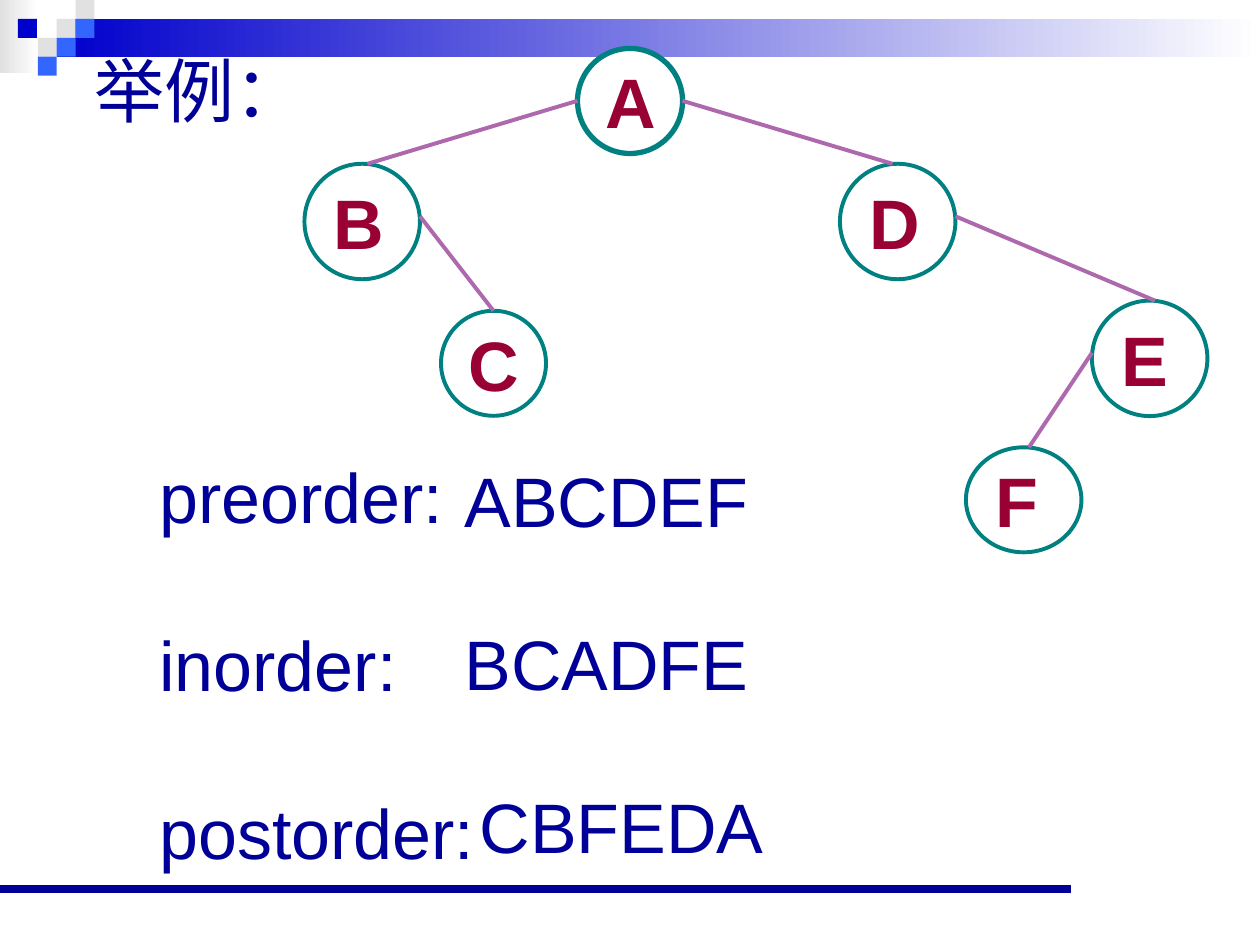
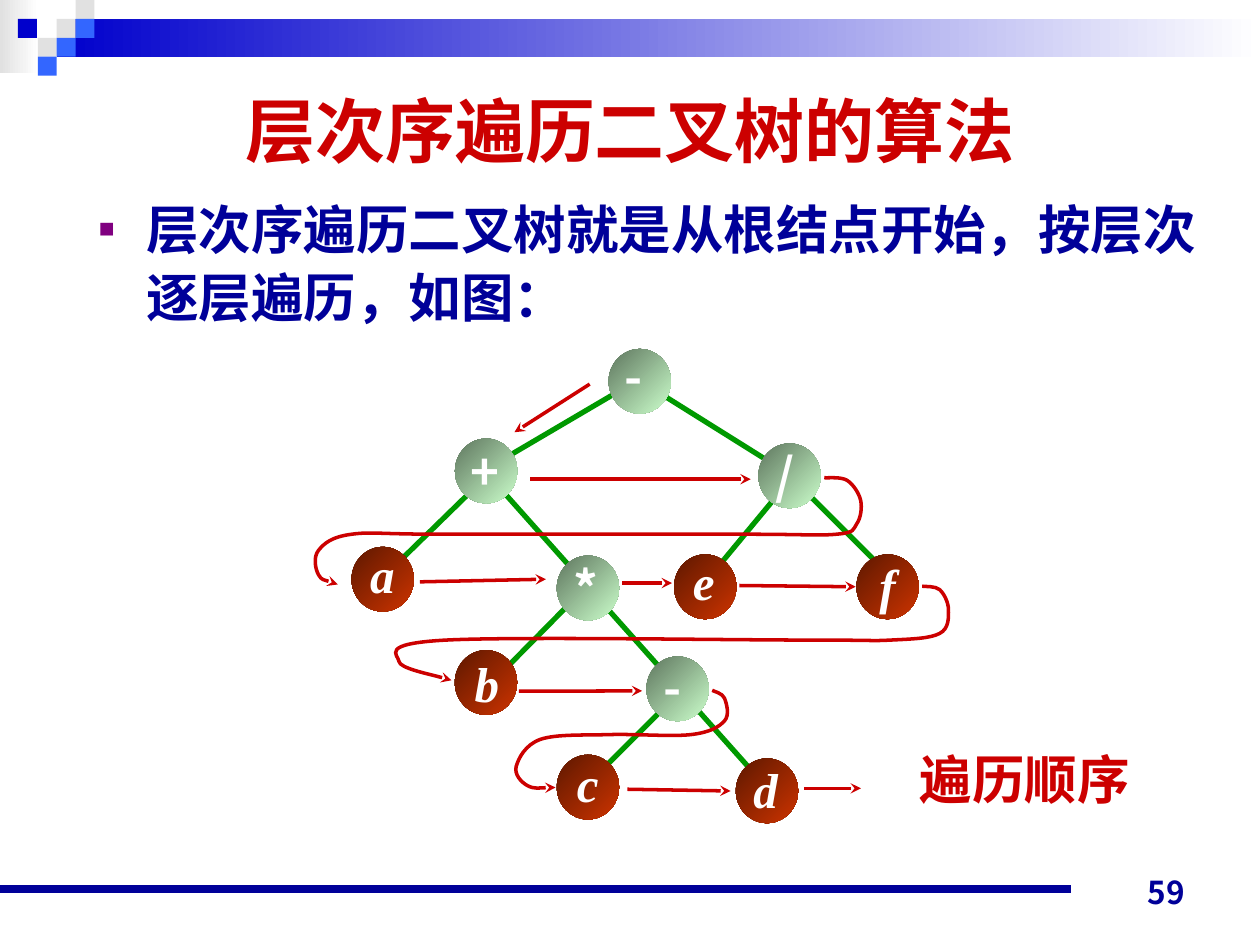
from lxml import etree
from pptx import Presentation
from pptx.dml.color import RGBColor
from pptx.enum import shapes, text
from pptx.oxml.ns import qn
from pptx.util import Pt

NAVY = RGBColor(0x00, 0x00, 0x99)
BLUE = RGBColor(0x00, 0x00, 0xCC)
SKY = RGBColor(0x33, 0x66, 0xFF)
GREY = RGBColor(0xE1, 0xE1, 0xE1)
WHITE = RGBColor(0xFF, 0xFF, 0xFF)
TEAL = RGBColor(0x00, 0x80, 0x80)
WINE = RGBColor(0x99, 0x00, 0x33)
MAUVE = RGBColor(0xAE, 0x68, 0xAE)
PURPLE = RGBColor(0x80, 0x00, 0x80)
RED = RGBColor(0xCC, 0x00, 0x00)
GREEN = RGBColor(0x00, 0x99, 0x00)
MOSS = (RGBColor(0x5E, 0x76, 0x5E), RGBColor(0xCC, 0xFF, 0xCC))
RUST = (RGBColor(0x5E, 0x18, 0x00), RGBColor(0xCC, 0x33, 0x00))

SANS, SERIF = "Arial", "Times New Roman"
HAN, DIGIT = "Noto Sans CJK SC", "Noto Sans CJK JP"
KIND, ALIGN, ANCHOR = shapes.MSO_SHAPE, text.PP_ALIGN, text.MSO_ANCHOR

CELL = 10.8
CELLS = [(3, 1, GREY), (4, 0, GREY), (4, 1, SKY), (2, 2, GREY),
         (0.95, 1, BLUE), (3, 2, SKY), (2, 3, SKY)]


class Deck:
    def __init__(self):
        self.prs = Presentation()
        self.prs.slide_width, self.prs.slide_height = Pt(720), Pt(540)
        self.blank = self.prs.slide_layouts[6]
        self.start()
        self.frame()

    def start(self):
        self.slide = self.prs.slides.add_slide(self.blank)

    def frame(self):
        """Draw the band, squares and bottom rule and move them to the layout."""
        self.shape(KIND.RECTANGLE, 0, 0, 22, 42, (GREY, WHITE))
        self.shape(KIND.RECTANGLE, 3 * CELL, CELL, 720 - 3 * CELL, 2 * CELL,
                   (BLUE, WHITE))
        for col, row, color in CELLS:
            self.shape(KIND.RECTANGLE, col * CELL, row * CELL, CELL, CELL, color)
        self.line((0, 508, 612, 508), NAVY, 4.5)
        for item in list(self.slide.shapes):
            self.blank.shapes._spTree.append(item._element)

    def shape(self, kind, x, y, w, h, fill, angle=0):
        """Add a shape; a pair of colours as fill makes a gradient."""
        item = self.slide.shapes.add_shape(kind, Pt(x), Pt(y), Pt(w), Pt(h))
        item.shadow.inherit = False
        item.line.fill.background()
        if isinstance(fill, RGBColor):
            item.fill.solid()
            item.fill.fore_color.rgb = fill
        else:
            item.fill.gradient()
            item.fill.gradient_angle = angle
            for stop, color in zip(item.fill.gradient_stops, fill):
                stop.color.rgb = color
        return item

    def stroke(self, item, color, width, arrow=False):
        item.line.color.rgb = color
        item.line.width = Pt(width)
        if arrow:
            line = item._element.spPr.find(qn("a:ln"))
            etree.SubElement(line, qn("a:tailEnd"), type="stealth")

    def line(self, ends, color, width, arrow=False):
        item = self.slide.shapes.add_connector(
            shapes.MSO_CONNECTOR.STRAIGHT, *map(Pt, ends))
        self.stroke(item, color, width, arrow)
        etree.SubElement(item._element.spPr, qn("a:effectLst"))

    def loop(self, knots, color, width):
        """Add an arrow that runs as a smooth curve through the knots."""
        pen = self.slide.shapes.build_freeform(*map(Pt, knots[0]))
        pen.add_line_segments([(Pt(x), Pt(y)) for x, y in knots[1:]], close=False)
        item = pen.convert_to_shape()
        item.shadow.inherit = False
        item.fill.background()
        self.stroke(item, color, width, True)
        self.bend(item)

    def bend(self, item):
        """Turn the straight segments of an outline into Bezier curves."""
        marks = [(int(p.get("x")), int(p.get("y")))
                 for p in item._element.iter(qn("a:pt"))]
        ends = [marks[0], *marks, marks[-1]]
        steps = list(item._element.iter(qn("a:lnTo")))
        for step, a, b, c, d in zip(steps, ends, ends[1:], ends[2:], ends[3:]):
            out = [q + (r - p) // 6 for p, q, r in zip(a, b, c)]
            back = [r - (s - q) // 6 for q, r, s in zip(b, c, d)]
            step.tag = qn("a:cubicBezTo")
            for i, (x, y) in enumerate((out, back)):
                step.insert(i, step.makeelement(qn("a:pt"), x=str(x), y=str(y)))

    def style(self, para, font, size, color, bold=False, italic=False):
        para.font.name, para.font.size = font, Pt(size)
        para.font.color.rgb = color
        para.font.bold, para.font.italic = bold, italic
        props = para._p.pPr.find(qn("a:defRPr"))
        etree.SubElement(props, qn("a:ea"),
                         typeface=font if font == DIGIT else HAN)

    def text(self, x, y, w, h, words, font, size, color, bold=False,
             italic=False, align=ALIGN.LEFT, anchor=ANCHOR.TOP, gap=0,
             bullet=None):
        """Add a text box, one paragraph for each line of words."""
        frame = self.slide.shapes.add_textbox(Pt(x), Pt(y), Pt(w), Pt(h)).text_frame
        frame.word_wrap, frame.vertical_anchor = True, anchor
        frame.text = words
        for i, para in enumerate(frame.paragraphs):
            para.alignment = align
            if i:
                para.space_before = Pt(gap)
            if bullet:
                para.line_spacing = Pt(size * 1.29)
                self.bullet(para, bullet)
            self.style(para, font, size, color, bold, italic)

    def bullet(self, para, color):
        props = para._p.get_or_add_pPr()
        props.set("marL", str(Pt(27)))
        props.set("indent", str(-Pt(27)))
        tint = etree.SubElement(props, qn("a:buClr"))
        etree.SubElement(tint, qn("a:srgbClr"), val=str(color))
        etree.SubElement(props, qn("a:buSzPct"), val="50000")
        etree.SubElement(props, qn("a:buFont"), typeface=SANS)
        etree.SubElement(props, qn("a:buChar"), char="■")

    def node(self, x, y, w, h, label, width):
        item = self.shape(KIND.OVAL, x, y, w, h, WHITE)
        self.stroke(item, TEAL, width)
        frame = item.text_frame
        frame.word_wrap, frame.vertical_anchor = False, ANCHOR.MIDDLE
        frame.text = label
        para = frame.paragraphs[0]
        para.alignment = ALIGN.LEFT
        self.style(para, SANS, 40, WINE, True)


def orders(deck):
    """Example tree with its three traversal orders."""
    for label, x, y, w, h in [
            ("A", 330, 27.7, 60, 60), ("B", 174, 93.6, 66, 66),
            ("C", 252, 177.6, 60, 60), ("D", 480, 93.6, 66, 66),
            ("E", 624, 171.8, 66, 66), ("F", 552, 255.6, 66, 60)]:
        deck.node(x, y, w, h, label, 3 if label == "A" else 2.25)
    for ends in [(330, 57.6, 210, 93.6), (240, 123.6, 282, 177.6),
                 (390, 57.6, 510, 93.6), (546, 123.6, 660, 171.8),
                 (624, 201.6, 588, 255.6)]:
        deck.line(ends, MAUVE, 2.25)
    deck.text(47, 23.5, 134, 55, "举例：", SANS, 40, NAVY)
    deck.text(84, 255.5, 540, 248, "preorder:\ninorder:\npostorder:",
              SANS, 40, NAVY, gap=48)
    for x, y, order in [(258.5, 258, "ABCDEF"), (258.5, 351, "BCADFE"),
                        (267, 444, "CBFEDA")]:
        deck.text(x, y, 176.5, 55, order, SANS, 40, NAVY)


def levels(deck):
    """Level-order walk through an expression tree."""
    deck.start()
    deck.text(516, 488, 168, 36, "59", DIGIT, 18, NAVY, True,
              align=ALIGN.RIGHT, anchor=ANCHOR.BOTTOM)
    deck.text(49.5, 106.5, 648, 306,
              "层次序遍历二叉树就是从根结点开始，按层次逐层遍历，如图：",
              SERIF, 30, NAVY, True, bullet=PURPLE)
    deck.text(518.5, 423.5, 162, 43, "遍历顺序", SERIF, 30, RED, True)

    for ends in [(358, 221, 286.5, 263), (270, 280, 228, 321),
                 (288, 281.5, 431, 442), (325.5, 345, 288, 383),
                 (381, 403, 340.5, 443.5), (445, 282, 409, 325.5),
                 (376, 224, 441.5, 265), (461, 281.5, 502.5, 323)]:
        deck.line(ends, GREEN, 3)
    nodes = [("-", 347.8, 199.4, 350, 194.4), ("+", 260, 250.6, 262, 249),
             ("/", 433.4, 253.4, 436.3, 251.3), ("a", 200.9, 312.5, 204.5, 307.4),
             ("*", 318.2, 317.5, 320.4, 315.4), ("e", 385.2, 316.8, 388.8, 311.8),
             ("f", 489.4, 316.8, 495.4, 313.9), ("b", 259.9, 371.5, 264.2, 370),
             ("-", 369.4, 375.1, 372.2, 372.2), ("c", 318.2, 431.3, 322.6, 427),
             ("d", 420.5, 433.4, 423.4, 430.6)]
    for label, x, y, _, _ in nodes:
        deck.shape(KIND.OVAL, x, y, 35.6, 37, RUST if label.isalpha() else MOSS, 315)
    for label, _, _, x, y in nodes:
        leaf = label.isalpha()
        deck.text(x, y, 28 if leaf else 31, 41, label, SERIF if leaf else HAN,
                  28, WHITE, True, leaf)

    for ends in [(337, 219.5, 294, 247), (303, 273.8, 429, 273.8),
                 (240, 332.5, 312, 331), (355.5, 333.2, 384, 333.2),
                 (422.5, 334.6, 489, 335.3), (296.5, 395, 367, 394.8),
                 (358.5, 451, 417.5, 452), (459.5, 450.5, 492, 450.5)]:
        deck.line(ends, RED, 2, True)
    for knots in [
            [(471, 273), (484, 274.5), (491.8, 286), (489.5, 299.5), (478, 305.3),
             (424, 305.3), (252.5, 305.3), (201, 305.3), (182, 314.5),
             (182, 328.5), (193, 334)],
            [(527, 335), (537, 337), (542, 348.5), (537, 362), (509, 365.8),
             (461.5, 365.8), (255, 365.8), (228, 378), (258, 388.8)],
            [(407, 394.5), (414, 399), (414, 412), (395, 419.8), (348.5, 419.8),
             (309, 422.5), (295, 438), (301.5, 449), (317.5, 450)]]:
        deck.loop(knots, RED, 2)
    deck.text(36, 36, 648, 75.6, "层次序遍历二叉树的算法", SANS, 40, RED, True,
              align=ALIGN.CENTER, anchor=ANCHOR.MIDDLE)


def main():
    deck = Deck()
    orders(deck)
    levels(deck)
    deck.prs.save("out.pptx")


if __name__ == "__main__":
    main()
